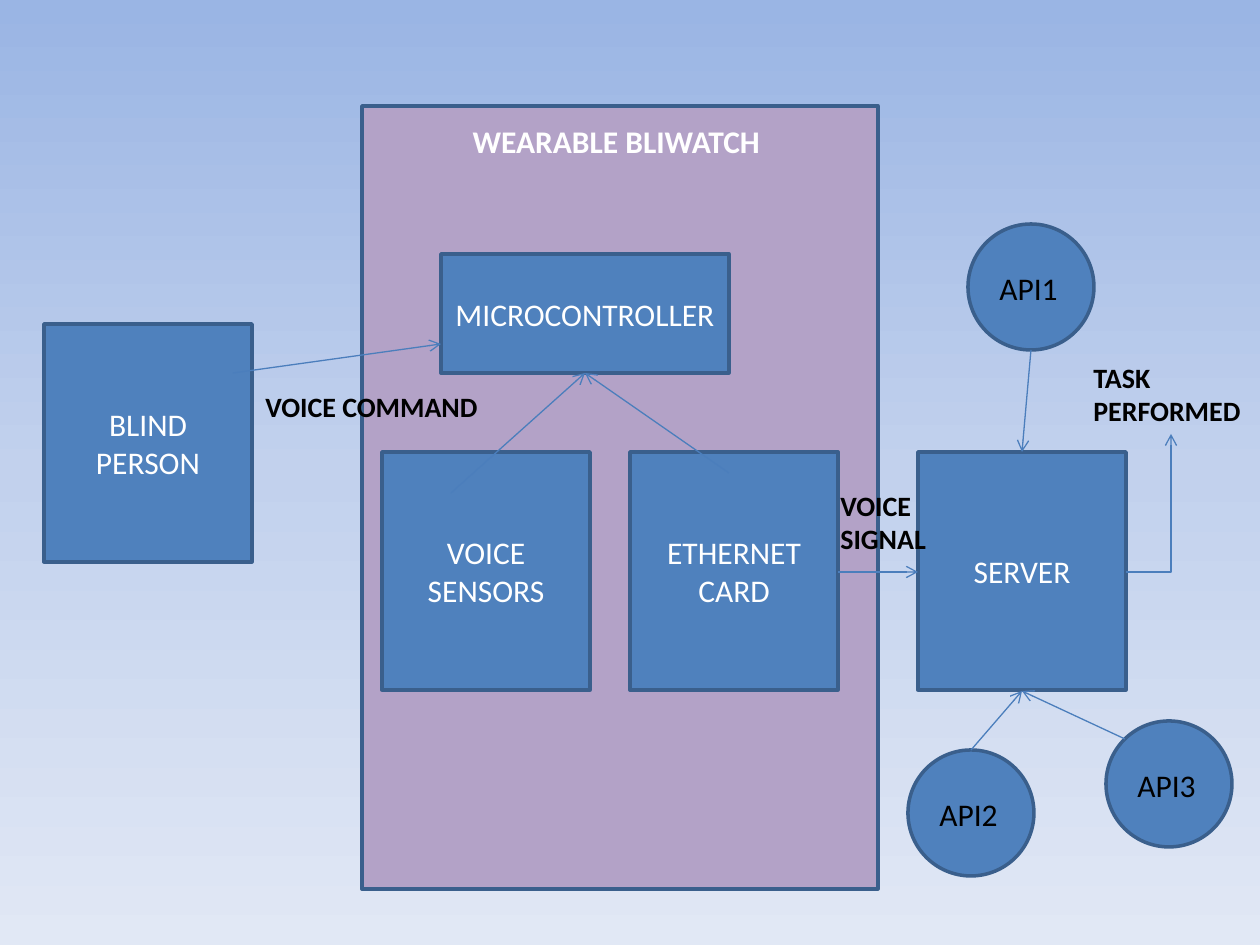
from copy import deepcopy
from typing import NamedTuple

from lxml.etree import SubElement
from pptx import Presentation
from pptx.dml.color import RGBColor
from pptx.enum.shapes import MSO_CONNECTOR as Link, MSO_SHAPE as Preset
from pptx.enum.text import MSO_ANCHOR as Anchor, PP_ALIGN as Align
from pptx.oxml.ns import qn
from pptx.util import Pt

EMU_PER_PX = 914400 / 126
FONT = "Calibri"
COLORS = {
    "sky_top": "9AB5E4",
    "sky_middle": "C2D1ED",
    "sky_bottom": "E1E8F5",
    "watch": "B3A2C7",
    "block": "4F81BD",
    "outline": "3A5F8C",
    "arrow": "4B7EBC",
    "light": "FFFFFF",
    "dark": "000000",
}
BLOCK_WIDTH, BLOCK_HEIGHT = 208, 238
ROW_TOP = 452
CIRCLE = 126


class Block(NamedTuple):
    text: str
    left: int
    top: int
    width: int = BLOCK_WIDTH
    height: int = BLOCK_HEIGHT


class Api(NamedTuple):
    text: str
    left: int
    top: int


class Label(NamedTuple):
    text: str
    left: int
    top: int
    width: int
    height: int


class Arrow(NamedTuple):
    start: tuple[int, int]
    end: tuple[int, int]
    bent: bool = False


WATCH = Block("WEARABLE BLIWATCH ", 362, 106, 516, 783)
BLOCKS = [
    Block("MICROCONTROLLER", 441, 254, 288, 119),
    Block("VOICE SENSORS", 382, ROW_TOP),
    Block("ETHERNET CARD", 630, ROW_TOP),
    Block("BLIND PERSON", 44, 324),
    Block("SERVER", 918, ROW_TOP),
]
APIS = [Api("API1", 968, 224), Api("API2", 908, 750), Api("API3", 1106, 721)]
LABELS = [
    Label("VOICE COMMAND", 253, 383, 287, 47),
    Label("VOICE SIGNAL", 828, 482, 118, 81),
    Label("TASK PERFORMED", 1081, 354, 179, 81),
]
CONTROLLER_BOTTOM = (585, 373)
SERVER_TOP, SERVER_BOTTOM = (1022, 452), (1022, 691)
ARROWS = [
    Arrow((451, 493), CONTROLLER_BOTTOM),
    Arrow((729, 473), CONTROLLER_BOTTOM),
    Arrow((233, 373), (441, 344)),
    Arrow((971, 750), SERVER_BOTTOM),
    Arrow((1125, 739), SERVER_BOTTOM),
    Arrow((1031, 350), SERVER_TOP),
    Arrow((838, 572), (918, 572)),
    Arrow((1126, 572), (1171, 434), bent=True),
]


def emu(px: int) -> int:
    return round(px * EMU_PER_PX)


def rgb(name: str) -> RGBColor:
    return RGBColor.from_string(COLORS[name])


def write(box, text: str, *, size=18, color="light", bold=False,
          align=Align.CENTER, anchor=Anchor.MIDDLE) -> None:
    frame = box.text_frame
    frame.word_wrap = True
    frame.vertical_anchor = anchor
    para = frame.paragraphs[0]
    para.alignment = align
    span = para.add_run()
    span.text = text
    span.font.name = FONT
    span.font.size = Pt(size)
    span.font.bold = bold
    span.font.color.rgb = rgb(color)


def add_filled(page, preset, frame: tuple[int, ...], fill="block"):
    shape = page.shapes.add_shape(preset, *map(emu, frame))
    shape.shadow.inherit = False
    shape.fill.solid()
    shape.fill.fore_color.rgb = rgb(fill)
    shape.line.color.rgb = rgb("outline")
    shape.line.width = Pt(2)
    return shape


def add_watch(page, watch: Block) -> None:
    shape = add_filled(page, Preset.RECTANGLE, watch[1:], "watch")
    write(shape, watch.text, bold=True, anchor=Anchor.TOP)
    shape.text_frame.margin_top = emu(16)


def add_block(page, block: Block) -> None:
    write(add_filled(page, Preset.RECTANGLE, block[1:]), block.text)


def add_label(page, label: Label, **style) -> None:
    box = page.shapes.add_textbox(*map(emu, label[1:]))
    write(box, label.text, color="dark", align=Align.LEFT, anchor=Anchor.TOP, **style)


def add_api(page, api: Api) -> None:
    add_filled(page, Preset.OVAL, (api.left, api.top, CIRCLE, CIRCLE))
    add_label(page, Label(api.text, api.left + 19, api.top + 39, 90, 50))


def add_arrow(page, arrow: Arrow) -> None:
    kind = Link.ELBOW if arrow.bent else Link.STRAIGHT
    connector = page.shapes.add_connector(kind, *map(emu, arrow.start + arrow.end))
    connector.line.color.rgb = rgb("arrow")
    connector.line.width = Pt(0.75)
    properties = connector._element.spPr
    SubElement(properties.find(qn("a:ln")), qn("a:tailEnd"), type="arrow")
    SubElement(properties, qn("a:effectLst"))
    if arrow.bent:
        properties.find(qn("a:prstGeom")).set("prst", "bentConnector2")


def paint_background(page) -> None:
    """Fill the page with a three-stop gradient from top to bottom."""
    fill = page.background.fill
    fill.gradient()
    fill.gradient_angle = 270
    stop_list = page._element.find(".//" + qn("a:gsLst"))
    stop_list.insert(1, deepcopy(stop_list[0]))
    names = ("sky_top", "sky_middle", "sky_bottom")
    for index, (stop, name) in enumerate(zip(fill.gradient_stops, names)):
        stop.position = index / 2
        stop.color.rgb = rgb(name)


def main() -> None:
    deck = Presentation()
    deck.slide_width, deck.slide_height = emu(1260), emu(945)
    page = deck.slides.add_slide(deck.slide_layouts[6])
    paint_background(page)
    add_watch(page, WATCH)
    for block in BLOCKS:
        add_block(page, block)
    for api in APIS:
        add_api(page, api)
    for arrow in ARROWS:
        add_arrow(page, arrow)
    for label in LABELS:
        add_label(page, label, size=16, bold=True)
    deck.save("out.pptx")


if __name__ == "__main__":
    main()
